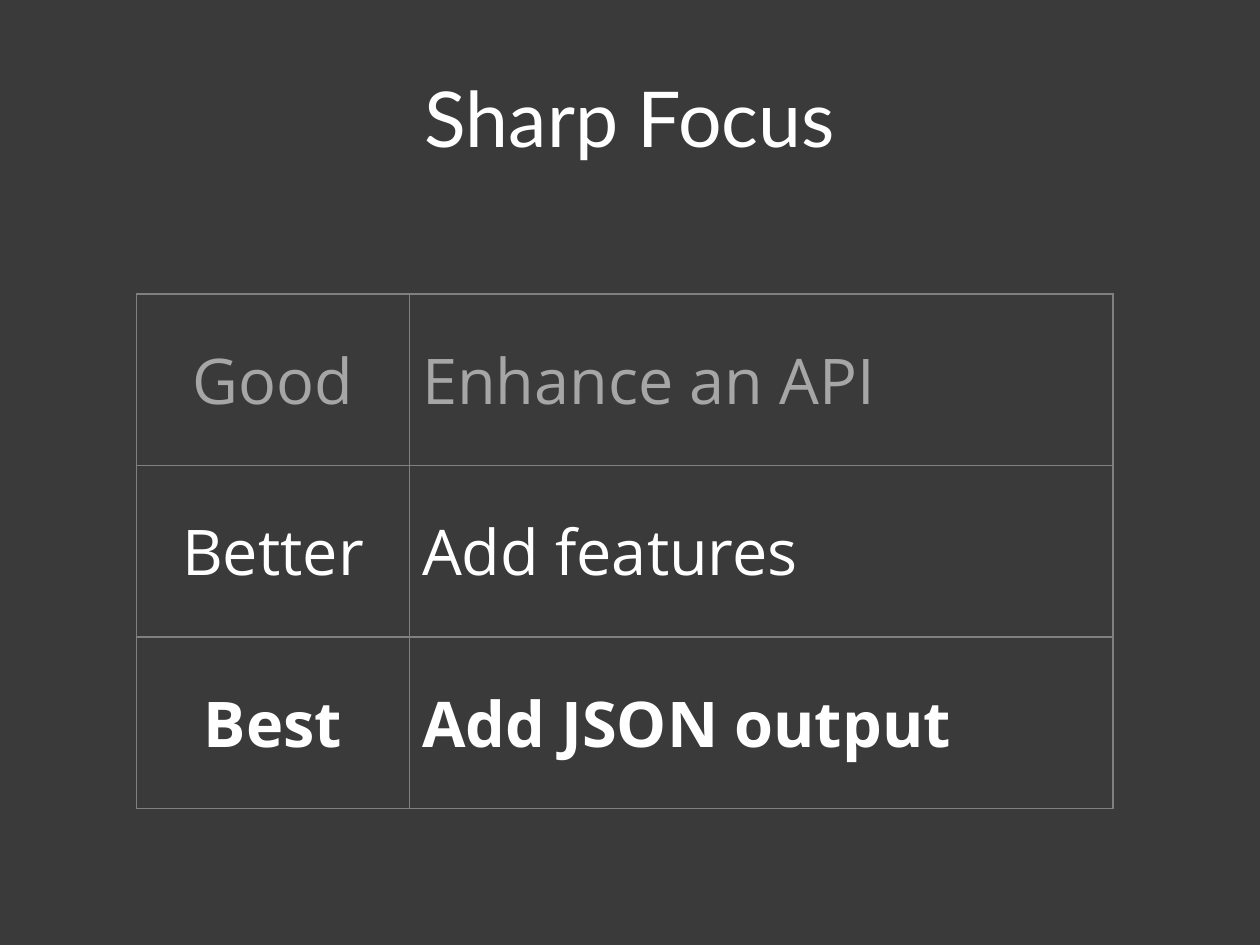
from lxml import etree
from pptx import Presentation
from pptx.dml.color import RGBColor
from pptx.enum.text import MSO_ANCHOR, PP_ALIGN
from pptx.oxml.ns import qn
from pptx.util import Pt

CENTER, LEFT = PP_ALIGN.CENTER, PP_ALIGN.LEFT
MIDDLE = MSO_ANCHOR.MIDDLE
BACKGROUND, BORDER, WHITE, GREY = "3A3A3A", "808080", "FFFFFF", "A6A6A6"


def set_text(tf, text, size=36, font="Open Sans", color=WHITE, bold=False, align=LEFT):
    p = tf.paragraphs[0]
    p.alignment = align
    r = p.add_run()
    r.text = text
    r.font.size = Pt(size)
    r.font.name = font
    r.font.bold = bold
    r.font.color.rgb = RGBColor.from_string(color)


def set_borders(cell, color, width):
    tcPr = cell._tc.get_or_add_tcPr()
    for side in ("a:lnL", "a:lnR", "a:lnT", "a:lnB"):
        ln = etree.SubElement(tcPr, qn(side), w=str(Pt(width)))
        fill = etree.SubElement(ln, qn("a:solidFill"))
        etree.SubElement(fill, qn("a:srgbClr"), val=color)


prs = Presentation()
prs.slide_width, prs.slide_height = Pt(720), Pt(540)
s = prs.slides.add_slide(prs.slide_layouts[5])
s.background.fill.solid()
s.background.fill.fore_color.rgb = RGBColor.from_string(BACKGROUND)

# Title
title = s.shapes.title
title.left, title.top, title.width, title.height = Pt(36), Pt(21.6), Pt(648), Pt(90)
title.text_frame.vertical_anchor = MIDDLE
set_text(title.text_frame, "Sharp Focus", size=44, font="Lato", align=CENTER)

# Table of goals, from good to best
goals = [
    ("Good", "Enhance an API", GREY, False),
    ("Better", "Add features", WHITE, False),
    ("Best", "Add JSON output", WHITE, True),
]
col_widths = (156, 402)
row_height = 98
table = s.shapes.add_table(len(goals), len(col_widths), Pt(78), Pt(168),
                           Pt(sum(col_widths)), Pt(row_height * len(goals))).table
table.first_row = table.horz_banding = False
for column, width in zip(table.columns, col_widths):
    column.width = Pt(width)

for i, (level, goal, color, bold) in enumerate(goals):
    for j, (text, align) in enumerate([(level, CENTER), (goal, LEFT)]):
        cell = table.cell(i, j)
        cell.vertical_anchor = MIDDLE
        set_text(cell.text_frame, text, color=color, bold=bold, align=align)
        set_borders(cell, BORDER, 1)
        cell.fill.background()

prs.save("out.pptx")
